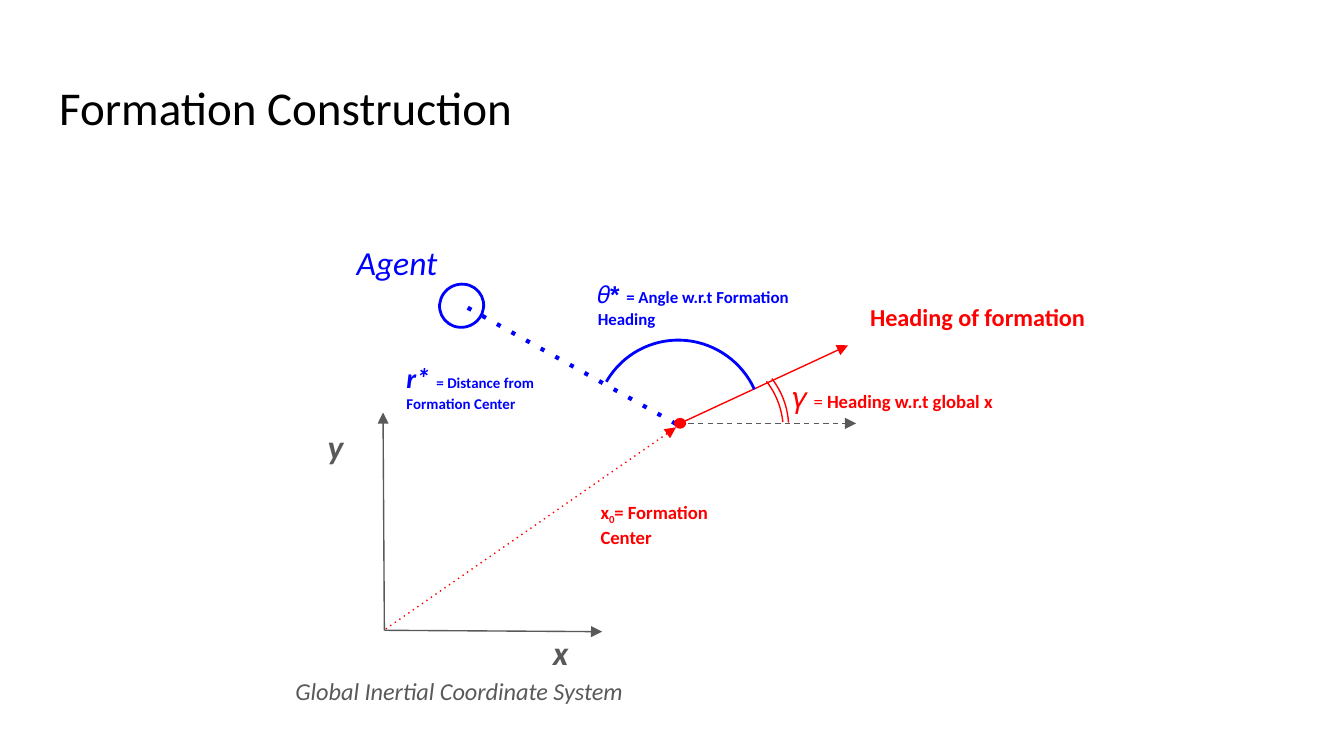
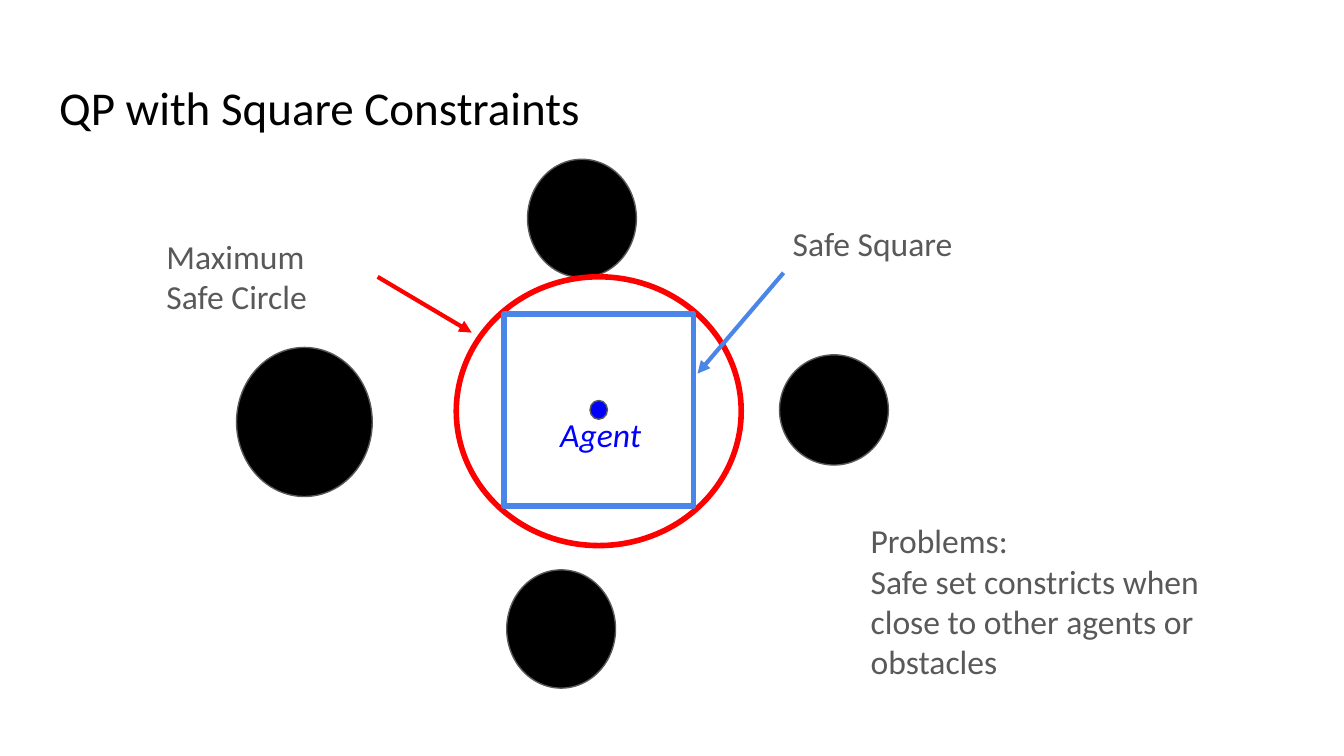
"""Build two slides on formation control and safe sets."""
from dataclasses import dataclass
from typing import NamedTuple, Optional

from lxml import etree
from pptx import Presentation
from pptx.dml.color import RGBColor
from pptx.enum.shapes import MSO_CONNECTOR, MSO_SHAPE
from pptx.enum.text import MSO_ANCHOR, MSO_AUTO_SIZE, PP_ALIGN
from pptx.oxml.ns import qn
from pptx.util import Emu, Pt

ARC, OVAL, RECT = MSO_SHAPE.ARC, MSO_SHAPE.OVAL, MSO_SHAPE.RECTANGLE
STRAIGHT = MSO_CONNECTOR.STRAIGHT
LEFT, TOP = PP_ALIGN.LEFT, MSO_ANCHOR.TOP
GROW, FIXED = MSO_AUTO_SIZE.SHAPE_TO_FIT_TEXT, MSO_AUTO_SIZE.NONE
PX = 4572
PAD = 20
FONT = "Calibri"
BLACK, GRAY, RED, BLUE, SKY = "000000", "595959", "FF0000", "0000FF", "4A86E8"
Box = tuple[int, int, int, int]


class Run(NamedTuple):
    """Text with one look."""
    text: str
    size: float = 18
    bold: bool = False
    italic: bool = False
    name: str = FONT
    base: int = 0


@dataclass
class Note:
    """Text box with one colour and a list of runs per paragraph."""
    box: Box
    color: str
    paras: list[list[Run]]


@dataclass
class Form:
    """Outlined or filled shape."""
    kind: MSO_SHAPE
    box: Box
    line: str = GRAY
    width: float = 0.75
    fill: Optional[str] = None
    turn: float = 0
    span: tuple[float, ...] = ()


@dataclass
class Link:
    """Straight line, with an arrowhead unless head is off."""
    ends: Box
    color: str
    width: float = 0.75
    dash: str = ""
    head: bool = True


def px(*nums: int) -> list[Emu]:
    """Turn px into EMU."""
    return [Emu(num * PX) for num in nums]


def rgb(code: str) -> RGBColor:
    """Turn a hex string into a colour."""
    return RGBColor.from_string(code)


def pad(frame) -> None:
    """Give a text frame the shared insets and wrapping."""
    inset = Emu(PAD * PX)
    frame.margin_left = frame.margin_right = inset
    frame.margin_top = frame.margin_bottom = inset
    frame.vertical_anchor = TOP
    frame.word_wrap = True


def fill_para(para, runs: list[Run], color: str) -> None:
    """Write runs, setting shared font traits on the paragraph."""
    para.alignment = LEFT
    para.font.color.rgb = rgb(color)
    fonts = []
    for run in runs:
        part = para.add_run()
        part.text = run.text
        if run.base:
            part._r.get_or_add_rPr().set("baseline", str(run.base * 1000))
        fonts.append(part.font)
    for trait in ("size", "bold", "italic", "name"):
        vals = [getattr(run, trait) for run in runs]
        if trait == "size":
            vals = [Pt(val) for val in vals]
        if len(set(vals)) == 1:
            setattr(para.font, trait, vals[0])
        else:
            for font, val in zip(fonts, vals):
                setattr(font, trait, val)


def draw_note(slide, note: Note) -> None:
    """Add a text box."""
    frame = slide.shapes.add_textbox(*px(*note.box)).text_frame
    pad(frame)
    frame.auto_size = GROW
    for i, runs in enumerate(note.paras):
        para = frame.add_paragraph() if i else frame.paragraphs[0]
        fill_para(para, runs, note.color)


def draw_form(slide, form: Form) -> None:
    """Add a preset shape."""
    shape = slide.shapes.add_shape(form.kind, *px(*form.box))
    shape.shadow.inherit = False
    shape.rotation = form.turn
    for i, val in enumerate(form.span):
        shape.adjustments[i] = val
    if form.fill:
        shape.fill.solid()
        shape.fill.fore_color.rgb = rgb(form.fill)
    else:
        shape.fill.background()
    shape.line.color.rgb = rgb(form.line)
    shape.line.width = Pt(form.width)


def draw_link(slide, link: Link) -> None:
    """Add a straight connector."""
    wire = slide.shapes.add_connector(STRAIGHT, *px(*link.ends))
    wire.line.color.rgb = rgb(link.color)
    wire.line.width = Pt(link.width)
    props = wire._element.spPr
    ln = props.find(qn("a:ln"))
    if link.dash:
        etree.SubElement(ln, qn("a:prstDash"), val=link.dash)
    if link.head:
        etree.SubElement(ln, qn("a:tailEnd"), type="triangle")
    etree.SubElement(props, qn("a:effectLst"))


DRAW = {Note: draw_note, Form: draw_form, Link: draw_link}


def add_slide(deck, title: str, items: list) -> None:
    """Add a titled slide and draw its items from back to front."""
    slide = deck.slides.add_slide(deck.slide_layouts[5])
    head = slide.shapes.title
    head.left, head.top, head.width, head.height = px(68, 97, 1864, 126)
    pad(head.text_frame)
    head.text_frame.auto_size = FIXED
    fill_para(head.text_frame.paragraphs[0], [Run(title, 25.2)], BLACK)
    for item in items:
        DRAW[type(item)](slide, item)


def label(box: Box, color: str, text: str, size: float = 18,
          bold: bool = False, italic: bool = False) -> Note:
    """Make a note with one run."""
    return Note(box, color, [[Run(text, size, bold, italic)]])


def rock(*box: int) -> Form:
    """Make a black obstacle."""
    return Form(OVAL, box, fill=BLACK)


FRAME = [
    Form(ARC, (926, 514, 244, 254), RED, turn=57.8, span=(158.68, 177.99)),
    Form(ARC, (918, 518, 244, 254), RED, turn=57.8, span=(158.68, 176.66)),
    Link((696, 458, 1008, 632), BLUE, 2.25, "dot", False),
    Link((1012, 630, 1262, 514), RED),
    Link((572, 938, 570, 614), GRAY),
    Link((572, 938, 896, 940), GRAY),
    Form(OVAL, (654, 423, 66, 64), BLUE, 1.5, turn=335.4),
    Form(ARC, (886, 506, 248, 250), BLUE, 1.5, turn=335.4, span=(140.93, 0)),
    Note((870, 396, 382, 114), BLUE, [[
        Run("𝜃* ", 13, True, name="Arial"),
        Run("= Angle w.r.t Formation Heading", 9, True)]]),
    Note((585, 517, 324, 118), BLUE, [[
        Run("r* ", 15, True, True),
        Run("= Distance from Formation Center", 8, True)]]),
    Note((1160, 544, 586, 94), RED, [[
        Run("𝛾", 16), Run(" ", 13), Run("= ", 10),
        Run("Heading w.r.t global x", 10, True)]]),
    Link((1010, 630, 1274, 630), GRAY, dash="dash"),
    label((803, 921, 104, 100), GRAY, "x", bold=True, italic=True),
    label((468, 614, 104, 100), GRAY, "y", bold=True, italic=True),
    Form(OVAL, (1004, 623, 16, 14), RED, fill=RED),
    Note((874, 725, 252, 108), RED, [[
        Run("x", 10, True), Run("0", 10, True, base=-25),
        Run("= Formation Center", 10, True)]]),
    label((420, 987, 752, 84), GRAY, "Global Inertial Coordinate System",
          13, italic=True),
    label((511, 340, 226, 100), BLUE, "Agent", italic=True),
    label((1275, 430, 404, 84), RED, "Heading of formation", 13, True),
    Link((574, 936, 1006, 636), RED, dash="dot"),
]

SAFE = [
    rock(352, 517, 202, 222),
    rock(1160, 528, 162, 164),
    rock(754, 848, 162, 176),
    rock(785, 237, 162, 176),
    Form(OVAL, (679, 412, 424, 400), RED, 3),
    Form(RECT, (750, 467, 282, 286), SKY, 3),
    Form(OVAL, (878, 596, 26, 28), fill=BLUE),
    Link((1166, 406, 1038, 556), SKY, 2.25),
    label((1160, 312, 334, 100), GRAY, "Safe Square"),
    label((228, 331, 334, 162), GRAY, "Maximum Safe Circle"),
    Link((562, 412, 702, 495), RED, 2.25),
    label((814, 596, 196, 100), BLUE, "Agent", italic=True),
    Note((1276, 754, 594, 282), GRAY, [
        [Run("Problems:")],
        [Run("Safe set constricts when close to other agents or obstacles")]]),
]


def main() -> None:
    """Build and save the deck."""
    deck = Presentation()
    deck.slide_width, deck.slide_height = px(2000, 1125)
    add_slide(deck, "Formation Construction", FRAME)
    add_slide(deck, "QP with Square Constraints", SAFE)
    deck.save("out.pptx")


if __name__ == "__main__":
    main()
